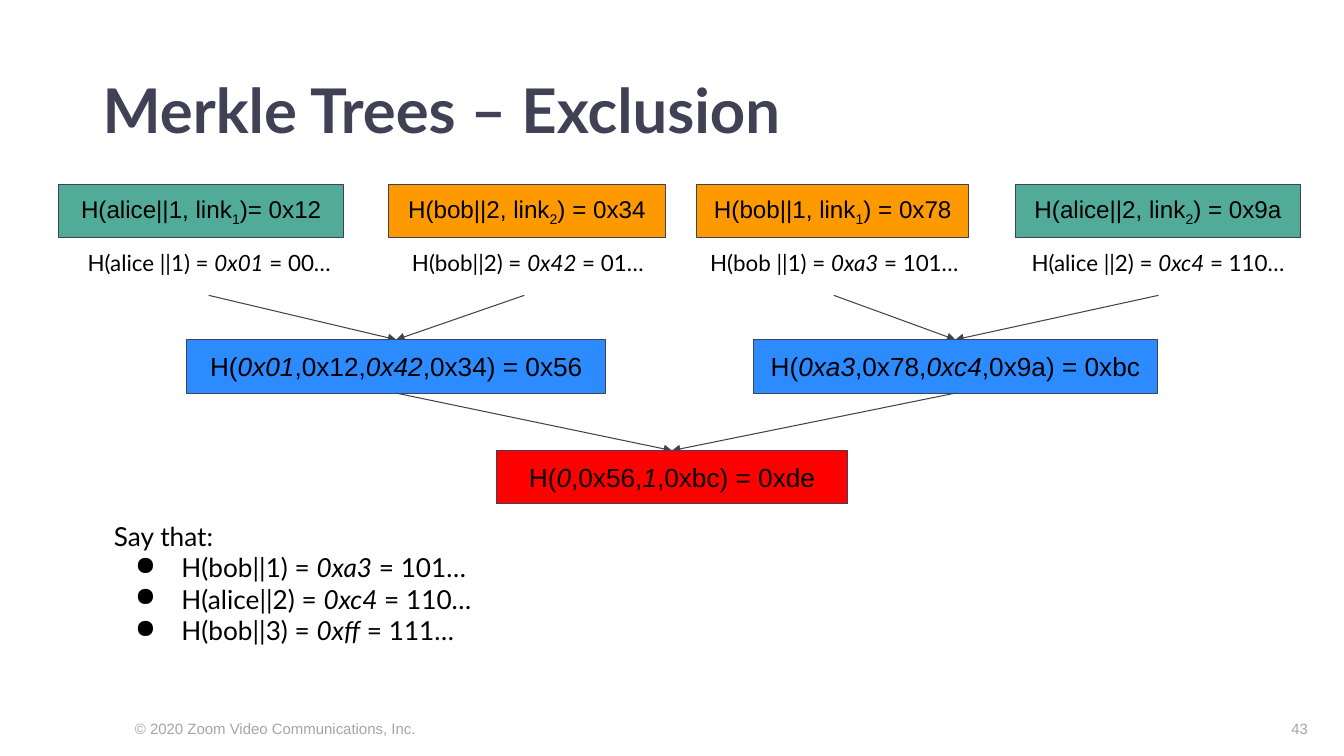
import pptx
import pptx.util
import pptx.dml.color
import pptx.enum.shapes
import pptx.enum.text
import pptx.oxml.ns
from lxml import etree

Inches = pptx.util.Inches
Pt = pptx.util.Pt
RGBColor = pptx.dml.color.RGBColor
ALIGN = pptx.enum.text.PP_ALIGN
ANCHOR = pptx.enum.text.MSO_ANCHOR
qn = pptx.oxml.ns.qn

INK = RGBColor(0x41, 0x41, 0x55)
BLACK = RGBColor(0x00, 0x00, 0x00)
GREY = RGBColor(0xA5, 0xA5, 0xA5)
GREEN = RGBColor(0x51, 0xAB, 0x98)
ORANGE = RGBColor(0xFF, 0x99, 0x00)
BLUE = RGBColor(0x2C, 0x8C, 0xFF)
RED = RGBColor(0xFF, 0x00, 0x00)

NODE_HEIGHT = 0.53
LEAF_TOP, BRANCH_TOP, ROOT_TOP = 1.83, 3.37, 4.47
CAPTION_TOP, CAPTION_HEIGHT = 2.34, 0.54
LEAF_ARROW_TOP = 2.93

# Node: left, width, text; *...* is italic and ~...~ is subscript.
# Leaf: node, colour, caption left, caption width, caption, arrow start
LEAVES = [
    ((0.58, 2.83, "H(alice||1, link~1~)= 0x12"), GREEN,
     0.5, 3.15, "H(alice ||1) = *0x01* = 00…", 2.07),
    ((3.85, 2.75, "H(bob||2, link~2~) = 0x34"), ORANGE,
     3.93, 2.61, "H(bob||2) = *0x42* = 01…", 5.2),
    ((6.91, 2.7, "H(bob||1, link~1~) = 0x78"), ORANGE,
     6.7, 3.15, "H(bob ||1) = *0xa3* = 101…", 8.27),
    ((10.07, 2.83, "H(alice||2, link~2~) = 0x9a"), GREEN,
     9.91, 3.15, "H(alice ||2) = *0xc4* = 110…", 11.49),
]
BRANCHES = [
    (1.85, 4.16, "H(*0x01*,0x12,*0x42*,0x34) = 0x56"),
    (7.47, 4.01, "H(*0xa3*,0x78,*0xc4*,0x9a) = 0xbc"),
]
ROOT = (4.92, 3.49, "H(*0*,0x56,*1*,0xbc) = 0xde")
CLAIMS = ["H(bob||1) = *0xa3* = 101…",
          "H(alice||2) = *0xc4* = 110…",
          "H(bob||3) = *0xff* = 111…"]


def write(paragraph, marked, size, font, color=BLACK, align=ALIGN.LEFT, bold=False):
    paragraph.alignment = align
    for i, stretch in enumerate(marked.split("*")):
        for j, piece in enumerate(stretch.split("~")):
            run = paragraph.add_run()
            run.text = piece
            run.font.size = Pt(size)
            run.font.name = font
            run.font.color.rgb = color
            run.font.bold = bold
            run.font.italic = i % 2 == 1
            if j % 2 == 1:
                run.font._element.set("baseline", "-25000")


def set_frame(frame, anchor, inset_x, inset_y):
    frame.word_wrap = True
    frame.vertical_anchor = anchor
    frame.margin_left = frame.margin_right = Inches(inset_x)
    frame.margin_top = frame.margin_bottom = Inches(inset_y)


def add_text(slide, box, anchor=ANCHOR.TOP, inset_x=0.13, inset_y=0.13):
    frame = slide.shapes.add_textbox(*map(Inches, box)).text_frame
    set_frame(frame, anchor, inset_x, inset_y)
    return frame


def add_node(slide, node, top, color, size):
    left, width, label = node
    box = slide.shapes.add_shape(
        pptx.enum.shapes.MSO_SHAPE.RECTANGLE,
        *map(Inches, (left, top, width, NODE_HEIGHT)))
    box.shadow.inherit = False
    box.fill.solid()
    box.fill.fore_color.rgb = color
    box.line.color.rgb = INK
    box.line.width = Pt(0.75)
    set_frame(box.text_frame, ANCHOR.MIDDLE, 0.13, 0.13)
    write(box.text_frame.paragraphs[0], label, size, "Arial", align=ALIGN.CENTER)


def add_arrow(slide, *ends):
    arrow = slide.shapes.add_connector(
        pptx.enum.shapes.MSO_CONNECTOR.STRAIGHT, *map(Inches, ends))
    arrow.line.color.rgb = INK
    arrow.line.width = Pt(0.75)
    etree.SubElement(arrow.line._get_or_add_ln(), qn("a:tailEnd"), type="triangle")
    etree.SubElement(arrow._element.spPr, qn("a:effectLst"))


def center(node):
    return node[0] + node[1] / 2


def add_title(slide, box):
    paragraph = add_text(slide, box, ANCHOR.MIDDLE, 0.1, 0.05).paragraphs[0]
    paragraph.line_spacing = 0.9
    write(paragraph, "Merkle Trees – Exclusion", 44, "Lato", INK, bold=True)


def add_tree(slide):
    # Leaves with their index hashes, two to a branch
    for i, (node, color, left, width, caption, arrow_x) in enumerate(LEAVES):
        add_node(slide, node, LEAF_TOP, color, 17.3)
        frame = add_text(slide, (left, CAPTION_TOP, width, CAPTION_HEIGHT))
        write(frame.paragraphs[0], caption, 16, "Lato", align=ALIGN.CENTER)
        add_arrow(slide, arrow_x, LEAF_ARROW_TOP, center(BRANCHES[i // 2]), BRANCH_TOP)
    # Branches and root
    for branch in BRANCHES:
        add_node(slide, branch, BRANCH_TOP, BLUE, 18.7)
        add_arrow(slide, center(branch), BRANCH_TOP + NODE_HEIGHT, center(ROOT), ROOT_TOP)
    add_node(slide, ROOT, ROOT_TOP, RED, 18.7)


def add_claims(slide, box):
    frame = add_text(slide, box)
    write(frame.paragraphs[0], "Say that:", 18.7, "Lato")
    for claim in CLAIMS:
        paragraph = frame.add_paragraph()
        props = paragraph._p.get_or_add_pPr()
        props.set("marL", str(Inches(0.67)))
        props.set("indent", str(Inches(-0.46)))
        bullet_color = etree.SubElement(props, qn("a:buClr"))
        etree.SubElement(bullet_color, qn("a:srgbClr"), val=str(BLACK))
        etree.SubElement(props, qn("a:buChar"), char="●")
        write(paragraph, claim, 18.7, "Lato")


def add_footer(slide, top, height):
    for left, width, text, align in (
            (1.24, 3.41, "© 2020 Zoom Video Communications, Inc.", ALIGN.LEFT),
            (12.12, 0.95, "43", ALIGN.RIGHT)):
        frame = add_text(slide, (left, top, width, height), ANCHOR.TOP, 0.1, 0.05)
        write(frame.paragraphs[0], text, 10.7, "Arial", GREY, align)


def main():
    deck = pptx.Presentation()
    deck.slide_width, deck.slide_height = Inches(13.33), Inches(7.5)
    slide = deck.slides.add_slide(deck.slide_layouts[6])
    add_footer(slide, 7.09, 0.29)
    add_title(slide, (0.92, 0.63, 11.5, 0.99))
    add_tree(slide)
    add_claims(slide, (1, 5.03, 11.68, 1.53))
    deck.save("out.pptx")


if __name__ == "__main__":
    main()
